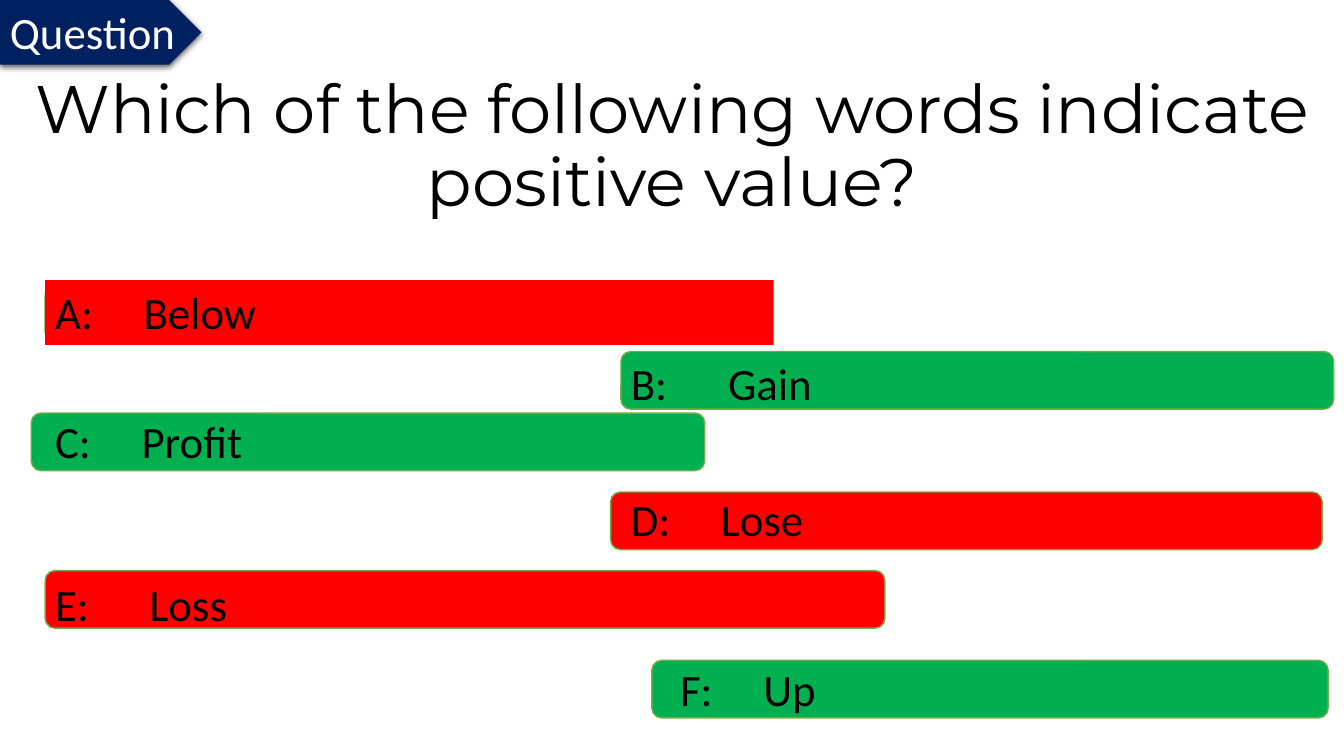
from lxml.etree import SubElement
from pptx import Presentation
from pptx.dml.color import RGBColor
from pptx.enum.shapes import MSO_SHAPE as Shape
from pptx.enum.text import MSO_ANCHOR as Anchor, MSO_AUTO_SIZE as AutoSize, PP_ALIGN as Align
from pptx.oxml.ns import qn
from pptx.util import Cm, Pt

COLORS = {
    "black": "000000",
    "white": "FFFFFF",
    "navy": "002060",
    "red": "FF0000",
    "green": "00B050",
    "outline": "70AD47",
}
BAR_HEIGHT = 1.45
TEXT_HEIGHT = 1.63

# letter, word, word offset, bar colour, bar (left, top, width), text (left, top, width), text fill
ANSWERS = [
    ("A", "Below", 2.23, "green", (1.14, 7.16, 18.21), (1.14, 7.06, 18.36), "red"),
    ("C", "Profit", 2.18, "green", (0.79, 10.41, 16.97), (1.14, 10.31, 21.34), None),
    ("B", "Gain", 2.45, "green", (15.65, 8.86, 17.96), (15.65, 8.84, 18.03), None),
    ("D", "Lose", 2.27, "red", (15.39, 12.4, 17.93), (15.65, 12.27, 16.61), None),
    ("E", "Loss", 2.38, "red", (1.14, 14.38, 21.16), (1.14, 14.4, 21.16), None),
    ("F", "Up", 2.1, "green", (16.43, 16.64, 17.04), (16.89, 16.56, 16.99), None),
]


def rgb(name):
    return RGBColor.from_string(COLORS[name])


def paint(shape, color):
    shape.fill.solid()
    shape.fill.fore_color.rgb = rgb(color)


def write(shape, text, font="Calibri", size=32, color="black", align=Align.LEFT,
          anchor=Anchor.TOP, wrap=True, spacing=None, tab=None):
    frame = shape.text_frame
    frame.word_wrap = wrap
    frame.auto_size = AutoSize.NONE
    frame.vertical_anchor = anchor
    para = frame.paragraphs[0]
    para.alignment = align
    if spacing:
        para.line_spacing = spacing
    if tab:
        stops = SubElement(para._p.get_or_add_pPr(), qn("a:tabLst"))
        SubElement(stops, qn("a:tab"), pos=str(Cm(tab)), algn="l")
    span = para.add_run()
    span.text = text
    span.font.name = font
    span.font.size = Pt(size)
    span.font.color.rgb = rgb(color)


def add_box(page, left, top, width, height, fill=None):
    box = page.shapes.add_textbox(Cm(left), Cm(top), Cm(width), Cm(height))
    if fill:
        paint(box, fill)
    return box


def add_bar(page, left, top, width, color):
    bar = page.shapes.add_shape(
        Shape.ROUNDED_RECTANGLE, Cm(left), Cm(top), Cm(width), Cm(BAR_HEIGHT))
    bar.shadow.inherit = False
    paint(bar, color)
    bar.line.color.rgb = rgb("outline")
    bar.line.width = Pt(1)


def add_shadow(shape):
    shape.shadow.inherit = False
    effects = shape._element.spPr.find(qn("a:effectLst"))
    shadow = SubElement(effects, qn("a:outerShdw"), blurRad=str(Pt(4.5)),
                        dist=str(Pt(1.5)), dir="5400000", algn="ctr", rotWithShape="0")
    tint = SubElement(shadow, qn("a:srgbClr"), val=COLORS["black"])
    SubElement(tint, qn("a:alpha"), val="63000")


def add_tag(page, text):
    tag = page.shapes.add_shape(Shape.PENTAGON, 0, 0, Cm(5.08), Cm(TEXT_HEIGHT))
    paint(tag, "navy")
    tag.line.fill.background()
    add_shadow(tag)
    write(tag, text, color="white", wrap=False)


def add_answer(page, letter, word, offset, color, bar, label, label_fill):
    add_bar(page, *bar, color)
    box = add_box(page, *label, TEXT_HEIGHT, fill=label_fill)
    write(box, f"{letter}:\t{word}", tab=offset)


def main():
    deck = Presentation()
    deck.slide_width, deck.slide_height = Cm(33.87), Cm(19.05)
    page = deck.slides.add_slide(deck.slide_layouts[6])
    title = add_box(page, 0.2, 1.9, 33.48, 3.68)
    write(title, "Which of the following words indicate positive value?", font="Montserrat",
          size=48, align=Align.CENTER, anchor=Anchor.MIDDLE, spacing=0.9)
    add_tag(page, "Question")
    for answer in ANSWERS:
        add_answer(page, *answer)
    deck.save("out.pptx")


if __name__ == "__main__":
    main()
